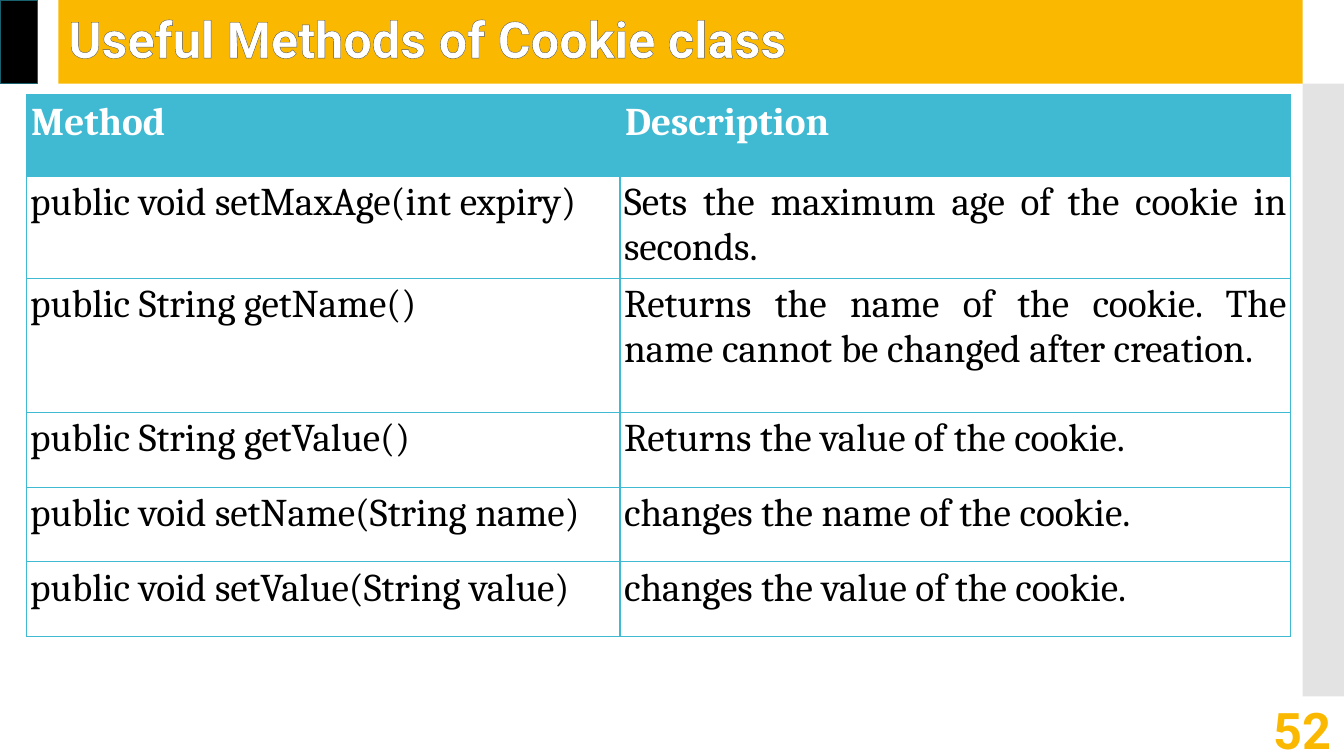
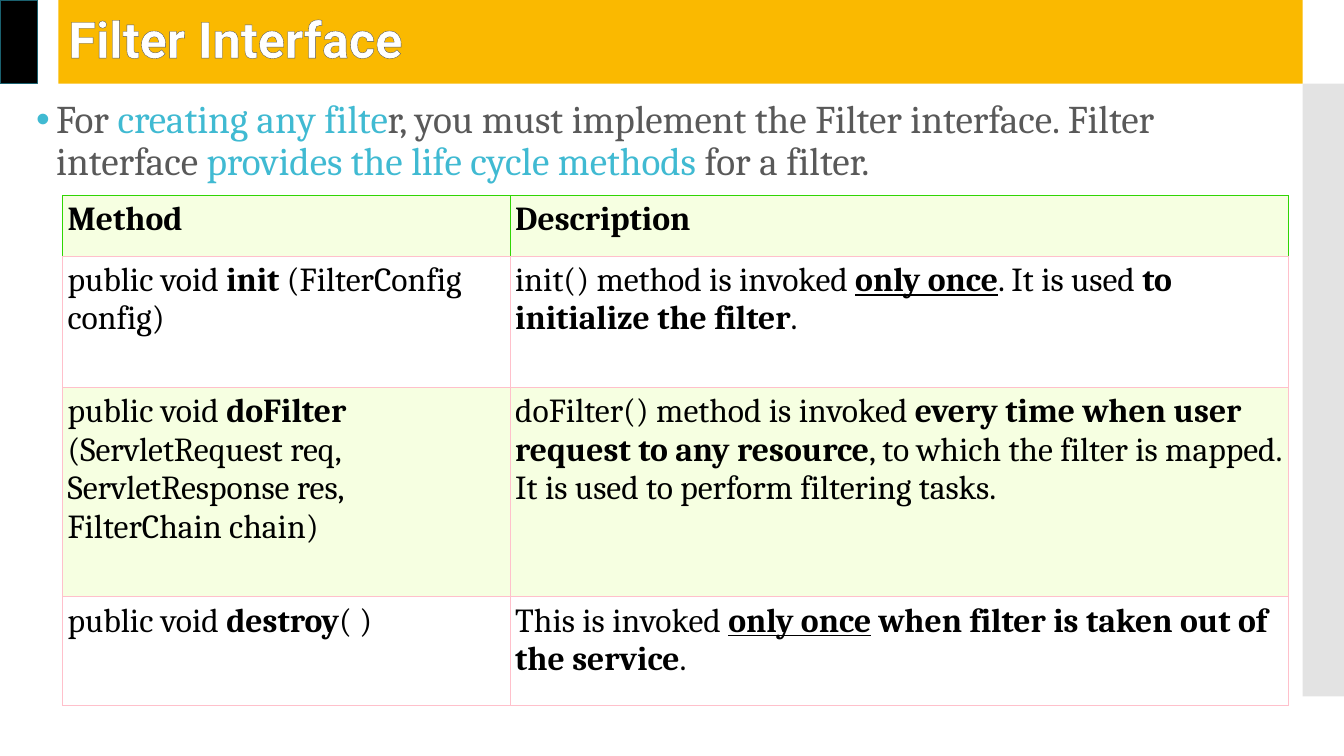
from lxml.etree import SubElement
from pptx import Presentation
from pptx.dml.color import RGBColor
from pptx.enum.shapes import MSO_SHAPE as Shape
from pptx.enum.text import MSO_ANCHOR as Anchor, PP_ALIGN as Align
from pptx.oxml import parse_xml
from pptx.oxml.ns import nsdecls, qn
from pptx.util import Inches, Pt

AMBER, TEAL, WHITE, BLACK = "FAB900", "40BAD2", "FFFFFF", "000000"
GREY, PINK, GREEN, PALE = "595959", "FFC0CB", "30D503", "F6FFE1"
HEADING = dict(font="Roboto", size=36, bold=True, outline="545454")
BOLD = dict(bold=True)
STRESSED = dict(bold=True, underline=True)
KEY = dict(color=TEAL)


def rgb(code):
    return RGBColor.from_string(code)


def line_xml(tag, color, width):
    return parse_xml(
        f'<a:{tag} {nsdecls("a")} w="{int(Pt(width))}"><a:solidFill>'
        f'<a:srgbClr val="{color}"/></a:solidFill></a:{tag}>')


def format_run(run, font="Cambria", size=24, color=BLACK, bold=False,
               underline=False, outline=None):
    run.font.name, run.font.size = font, Pt(size)
    run.font.bold, run.font.underline = bold, underline
    run.font.color.rgb = rgb(color)
    if outline:
        run.font.fill
        run.font._element.insert(0, line_xml("ln", outline, 1))


def write(frame, *paragraphs, align=Align.LEFT, spacing=None, before=None,
          bullet=None, **style):
    frame.word_wrap = True
    for index, runs in enumerate(paragraphs):
        paragraph = frame.add_paragraph() if index else frame.paragraphs[0]
        paragraph.alignment = align
        paragraph.line_spacing = spacing
        if before is not None:
            paragraph.space_before = Pt(before)
        if bullet:
            add_bullet(paragraph, bullet)
        for part in [runs] if isinstance(runs, str) else runs:
            words, change = (part, {}) if isinstance(part, str) else part
            run = paragraph.add_run()
            run.text = words
            format_run(run, **{**style, **change})


def add_bullet(paragraph, color, indent=0.2):
    props = paragraph._p.get_or_add_pPr()
    props.set("marL", str(Inches(indent)))
    props.set("indent", str(-Inches(indent)))
    bullet_color = SubElement(props, qn("a:buClr"))
    SubElement(bullet_color, qn("a:srgbClr"), val=color)
    SubElement(props, qn("a:buFont"), typeface="Arial")
    SubElement(props, qn("a:buChar"), char="•")


def text_box(slide, box, *paragraphs, anchor=Anchor.TOP, **style):
    frame = slide.shapes.add_textbox(*map(Inches, box)).text_frame
    frame.vertical_anchor = anchor
    write(frame, *paragraphs, **style)


def band(slide, box, color, opacity=None, edge=None):
    shape = slide.shapes.add_shape(Shape.RECTANGLE, *map(Inches, box))
    shape.shadow.inherit = False
    shape.fill.solid()
    shape.fill.fore_color.rgb = rgb(color)
    if opacity:
        tone = shape.fill._xPr.find(".//" + qn("a:srgbClr"))
        SubElement(tone, qn("a:alpha"), val=str(opacity * 1000))
    if edge:
        shape.line.color.rgb = rgb(edge)
        shape.line.width = Pt(0.85)
    else:
        shape.line.fill.background()


def titled_slide(deck, title):
    slide = deck.slides.add_slide(deck.slide_layouts[6])
    title_bar = (0.58, 0, 12.34, 0.83)
    band(slide, title_bar, AMBER)
    band(slide, (12.92, 0.83, 0.42, 6.08), "C8C8C8", opacity=50)
    band(slide, (0, 0, 0.37, 0.83), BLACK, edge="1A616F")
    text_box(slide, title_bar, title, anchor=Anchor.MIDDLE, spacing=0.9,
             color=WHITE, **HEADING)
    return slide


def format_cell(cell, fill, inset, borders, width):
    cell.margin_left = cell.margin_right = Inches(inset)
    cell.margin_top = cell.margin_bottom = Inches(inset)
    if fill:
        cell.fill.solid()
        cell.fill.fore_color.rgb = rgb(fill)
    else:
        cell.fill.background()
    props = cell._tc.get_or_add_tcPr()
    for index, (side, color) in enumerate(zip("LRTB", borders)):
        props.insert(index, line_xml("ln" + side, color, width))


def method_table(slide, left, top, widths, heights, rows, fills, border,
                 border_width, insets, header_color, header_edge, size,
                 align=Align.LEFT):
    table = slide.shapes.add_table(
        len(heights), len(widths), Inches(left), Inches(top),
        Inches(sum(widths)), Inches(sum(heights))).table
    table.first_row = table.horz_banding = False
    for column, width in zip(table.columns, widths):
        column.width = Inches(width)
    for row, height in zip(table.rows, heights):
        row.height = Inches(height)
    for r, entries in enumerate([("Method", "Description"), *rows]):
        head = r == 0
        edges = [header_edge] * 3 + [border] if head else [border] * 4
        for c, entry in enumerate(entries):
            cell = table.cell(r, c)
            format_cell(cell, fills[r], insets[0 if head else 1], edges,
                        border_width)
            paragraphs = entry if isinstance(entry, tuple) else (entry,)
            write(cell.text_frame, *paragraphs, size=size, bold=head,
                  color=header_color if head else BLACK,
                  align=Align.LEFT if head else align)


def cookie_slide(deck):
    slide = titled_slide(deck, "Useful Methods of Cookie class")
    text_box(slide, (11.63, 7.04, 1.67, 0.4), "52", anchor=Anchor.MIDDLE,
             align=Align.RIGHT, color=AMBER, **HEADING)
    rows = [
        ("public void setMaxAge(int expiry)",
         "Sets the maximum age of the cookie in seconds."),
        ("public String getName()",
         "Returns the name of the cookie. The name cannot be changed "
         "after creation."),
        ("public String getValue()", "Returns the value of the cookie."),
        ("public void setName(String name)",
         "changes the name of the cookie."),
        ("public void setValue(String value)",
         "changes the value of the cookie."),
    ]
    method_table(slide, 0.26, 0.94, [5.89, 6.65],
                 [0.81, 0.97, 1.33] + [0.74] * 3, rows,
                 [TEAL] + [None] * 5, TEAL, 1, (0.05, 0.04), WHITE, TEAL,
                 28, Align.JUSTIFY)


def filter_slide(deck):
    slide = titled_slide(deck, "Filter Interface")
    text_box(slide, (0.26, 0.94, 12.53, 0.95),
             ["For ", ("creating any filte", KEY),
              "r, you must implement the Filter interface. "
              "Filter interface ",
              ("provides the life cycle methods ", KEY), "for a filter."],
             size=28, color=GREY, spacing=0.9, before=12, bullet=TEAL)
    rows = [
        (["public void ", ("init", BOLD), " (FilterConfig config)"],
         ["init() method is invoked ", ("only once", STRESSED),
          ". It is used ", ("to initialize the filter", BOLD), "."]),
        (["public void ", ("doFilter", BOLD),
          " (ServletRequest req, ServletResponse res, FilterChain chain)"],
         (["doFilter() method is invoked ",
           ("every time when user request to any resource", BOLD),
           ", to which the filter is mapped."],
          "It is used to perform filtering tasks.")),
        (["public void ", ("destroy", BOLD), "( )"],
         ["This is invoked ", ("only once", STRESSED),
          (" when filter is taken out of the service", BOLD), "."]),
    ]
    method_table(slide, 0.62, 1.94, [4.44, 7.72], [0.6, 1.3, 2.08, 1.08],
                 rows, [PALE, WHITE] * 2, PINK, 0.75, (0.05, 0.05), BLACK,
                 GREEN, 24)


def main():
    deck = Presentation()
    deck.slide_width, deck.slide_height = Inches(13.33), Inches(7.5)
    cookie_slide(deck)
    filter_slide(deck)
    deck.save("out.pptx")


if __name__ == "__main__":
    main()
